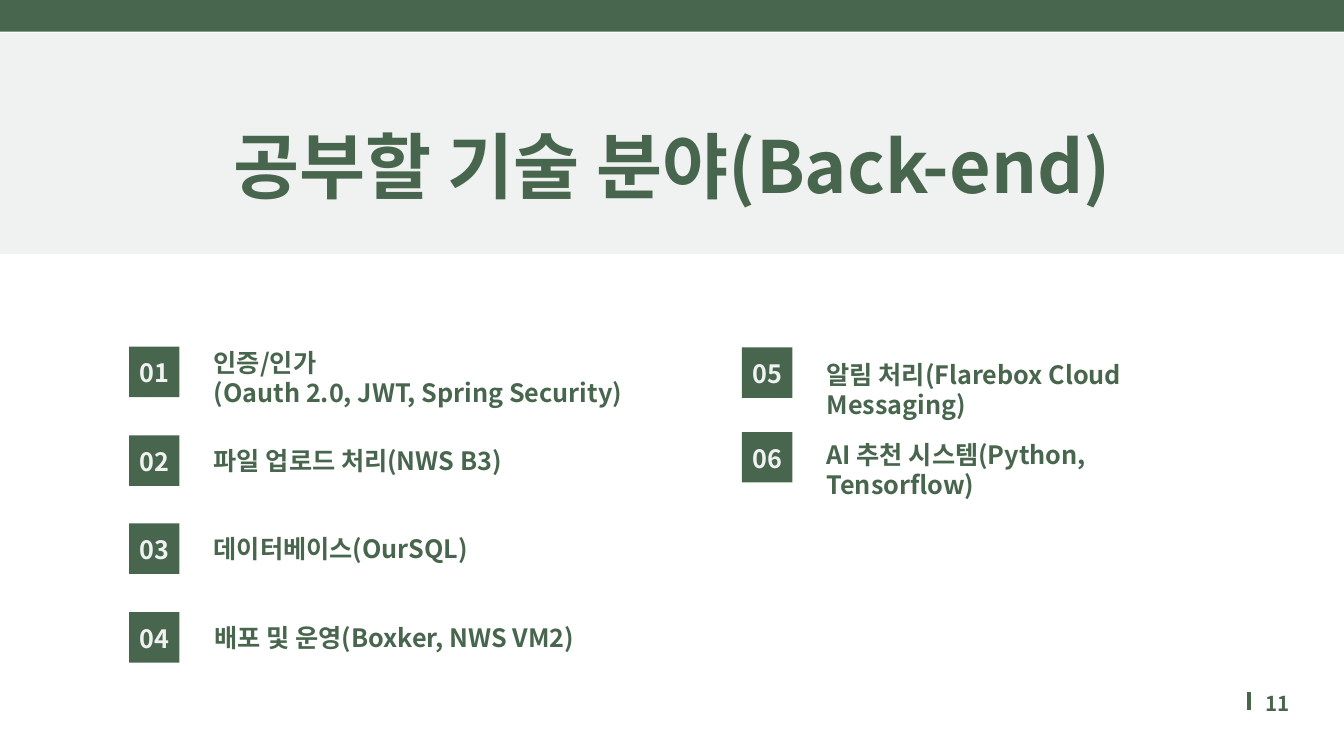
import pptx
import pptx.util
import pptx.dml.color
import pptx.enum.shapes
import pptx.enum.text
import pptx.oxml.ns
import lxml.etree

Inches = pptx.util.Inches
Pt = pptx.util.Pt
ALIGN = pptx.enum.text.PP_ALIGN
ANCHOR = pptx.enum.text.MSO_ANCHOR

COLORS = {"green": "48664D", "mist": "F0F1F1", "white": "FFFFFF"}
FONT = "Noto Sans CJK KR"

TOPICS = [
    ("01", 1.92, 5.16, 3.18, 5.17, 7.07, ["인증/인가", "(Oauth 2.0, JWT, Spring Security)"]),
    ("02", 1.92, 6.48, 3.18, 6.62, 6.15, ["파일 업로드 처리(NWS B3)"]),
    ("03", 1.92, 7.79, 3.18, 7.93, 6.4, ["데이터베이스(OurSQL)"]),
    ("04", 1.92, 9.11, 3.19, 9.26, 5.92, ["배포 및 운영(Boxker, NWS VM2)"]),
    ("05", 11.04, 5.17, 12.3, 5.35, 6.25, ["알림 처리(Flarebox Cloud Messaging)"]),
    ("06", 11.04, 6.43, 12.3, 6.54, 5.92, ["AI 추천 시스템(Python, Tensorflow)"]),
]


class SlideBuilder:
    def __init__(self, slide):
        self.slide = slide
        self.slide.background.fill.solid()
        self.slide.background.fill.fore_color.rgb = self.color("white")

    def color(self, name):
        return pptx.dml.color.RGBColor.from_string(COLORS[name])

    def set_text(self, box, lines, size, spacing, color="green", align=ALIGN.LEFT,
                 anchor=ANCHOR.TOP, margins=(0, 0, 0, 0)):
        frame = box.text_frame
        frame.word_wrap = True
        frame.auto_size = pptx.enum.text.MSO_AUTO_SIZE.NONE
        frame.vertical_anchor = anchor
        (frame.margin_left, frame.margin_top,
         frame.margin_right, frame.margin_bottom) = map(Inches, margins)
        para = frame.paragraphs[0]
        para.alignment = align
        para.line_spacing = Pt(spacing)
        for index, line in enumerate(lines):
            if index:
                para.add_line_break()
            span = para.add_run()
            span.text = line
            span.font.size = Pt(size)
            span.font.bold = True
            span.font.name = FONT
            span.font.color.rgb = self.color(color)
            east_asian = lxml.etree.SubElement(
                span._r.get_or_add_rPr(), pptx.oxml.ns.qn("a:ea"))
            east_asian.set("typeface", FONT)

    def title(self, text, left, top, width, height):
        box = self.slide.shapes.title
        box.left, box.top, box.width, box.height = map(Inches, (left, top, width, height))
        box.element.getparent().append(box.element)
        self.set_text(box, [text], 77, 107.8, align=ALIGN.CENTER)

    def block(self, left, top, width, height, color):
        box = self.slide.shapes.add_shape(
            pptx.enum.shapes.MSO_SHAPE.RECTANGLE,
            *map(Inches, (left, top, width, height)))
        box.shadow.inherit = False
        box.fill.solid()
        box.fill.fore_color.rgb = self.color(color)
        box.line.fill.background()
        return box

    def badge(self, number, left, top):
        box = self.block(left, top, 0.75, 0.75, "green")
        self.set_text(box, [number], 27, 37.8, "mist", ALIGN.CENTER,
                      ANCHOR.MIDDLE, (0.06, 0.06, 0.06, 0.11))

    def text(self, lines, left, top, width, height, size=27, spacing=32.4,
             align=ALIGN.LEFT):
        box = self.slide.shapes.add_textbox(*map(Inches, (left, top, width, height)))
        self.set_text(box, lines, size, spacing, align=align)

    def line(self, x1, y1, x2, y2, weight):
        rule = self.slide.shapes.add_connector(
            pptx.enum.shapes.MSO_CONNECTOR.STRAIGHT,
            *map(Inches, (x1, y1, x2, y2)))
        rule.line.color.rgb = self.color("green")
        rule.line.width = Pt(weight)
        lxml.etree.SubElement(rule.element.spPr, pptx.oxml.ns.qn("a:effectLst"))


def main():
    deck = pptx.Presentation()
    deck.slide_width = Inches(20)
    deck.slide_height = Inches(11.25)
    page = SlideBuilder(deck.slides.add_slide(deck.slide_layouts[5]))

    page.block(0, 0, 20, 0.47, "green")
    page.block(0, 0.49, 20, 3.29, "mist")
    page.title("공부할 기술 분야(Back-end)", 3.24, 1.59, 13.52, 1.38)

    for number, badge_left, badge_top, left, top, width, lines in TOPICS:
        page.badge(number, badge_left, badge_top)
        page.text(lines, left, top, width, 0.45 * len(lines))

    page.line(18.59, 10.3, 18.59, 10.57, 3.75)
    page.text(["11"], 18.71, 10.22, 0.48, 0.4, 22, 30.8, ALIGN.RIGHT)
    deck.save("out.pptx")


if __name__ == "__main__":
    main()
